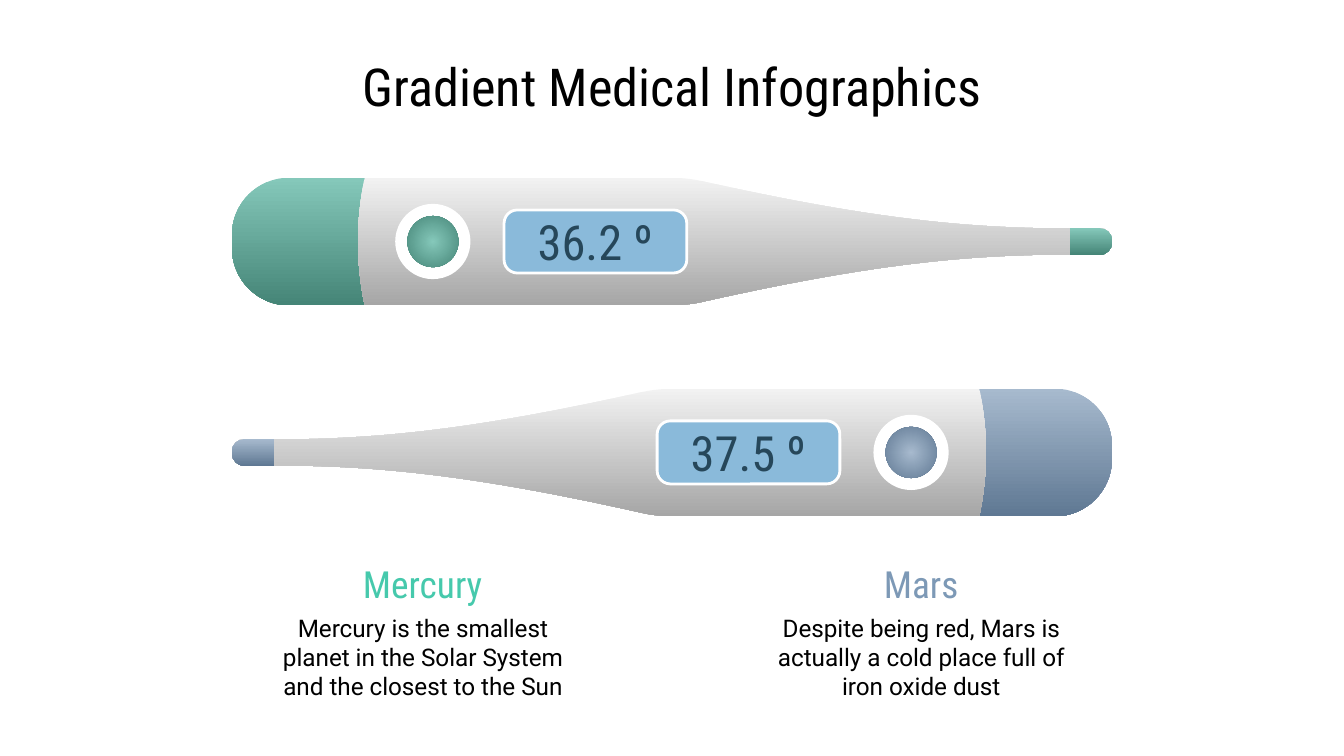
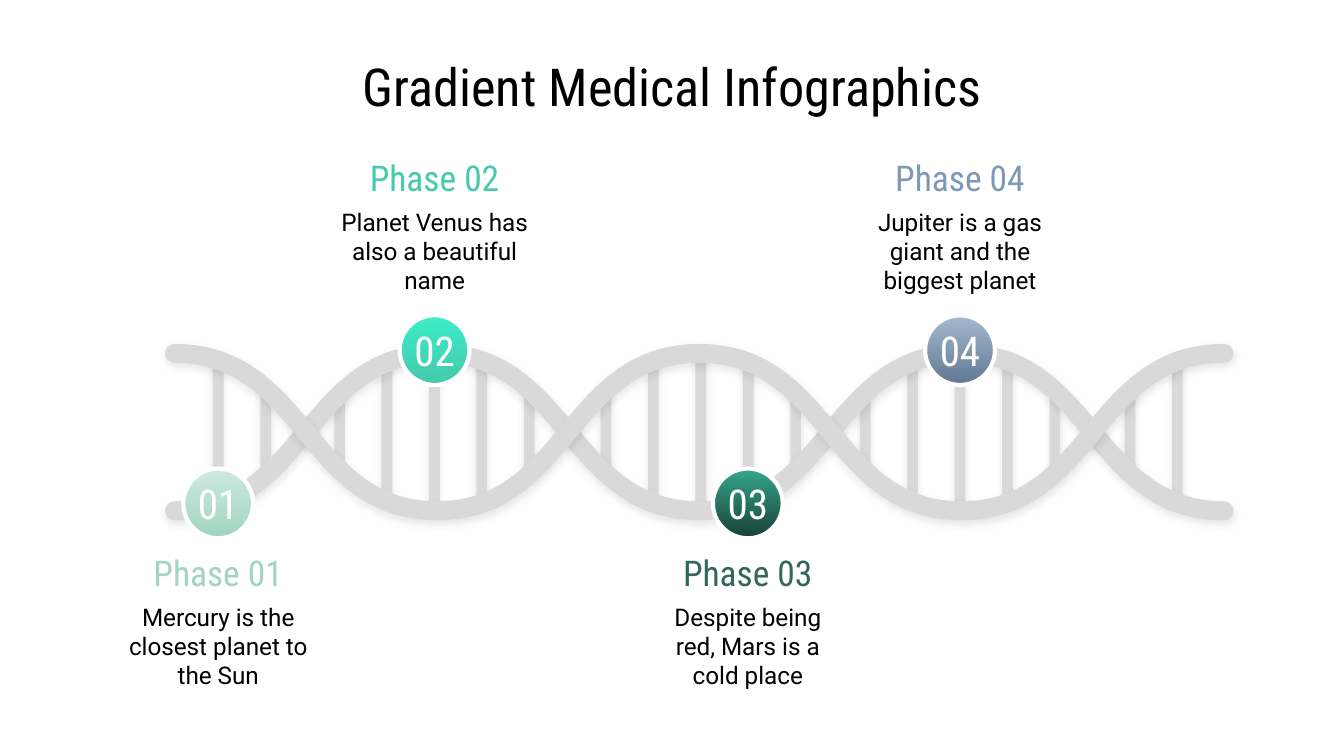
from dataclasses import dataclass

from lxml.etree import SubElement
from pptx import Presentation
from pptx.dml.color import RGBColor
from pptx.enum.shapes import MSO_SHAPE
from pptx.enum.text import MSO_ANCHOR, MSO_AUTO_SIZE, PP_ALIGN
from pptx.oxml.ns import qn
from pptx.util import Pt


@dataclass(frozen=True)
class Theme:
    head: str = "Roboto Condensed"
    body: str = "Roboto"
    ink: str = "000000"
    white: str = "FFFFFF"
    strand: str = "D9D9D9"
    screen: str = "8ABADA"
    digits: str = "26475A"
    mint: str = "A2D4C2"
    green: str = "46C9AC"
    pine: str = "31685B"
    slate: str = "7D99B6"
    steel: tuple = ("F2F2F2", "A6A6A6")
    teal_fade: tuple = ("85C8BA", "458577")
    slate_fade: tuple = ("A7BACE", "5F7893")
    mint_fade: tuple = ("CBEADE", "A2D4C2")
    green_fade: tuple = ("3CEDC8", "46C9AC")
    pine_fade: tuple = ("35A68C", "194037")
    title_size: float = 28
    read_size: float = 26
    badge_size: float = 22
    name_size: float = 20
    phase_size: float = 19
    text_size: float = 13


THEME = Theme()
WIDTH, HEIGHT = 720, 405
TITLE = "Gradient Medical Infographics"
INSET = (7.2, 7.2, 7.2, 7.2)

# Top halves of the thermometer outlines: x from the left, y from the axis.
# Pairs are corners; sixes are two handles and an end point.
CAP = [(192.2, 0), (192.2, -12.2, 193.7, -23.8, 195.8, -34.2), (154.8, -34.2),
       (138.2, -34.2, 124.3, -20.5, 124.3, -3.6), (124.3, 0)]
BODY = [(191.8, 0), (191.8, -12.2, 193.2, -23.8, 195.4, -34.2), (359.3, -34.2),
        (359.3, -34.2, 367.9, -34.2, 375.8, -32.4),
        (460.8, -13.3, 509.8, -8.3, 554.4, -7.2),
        (563, -7.2, 589, -7.2, 589, -7.2),
        (592.6, -7.2, 595.7, -4.3, 595.7, -0.7), (595.7, 0)]
TIP = [(573.1, 0), (573.1, -7.2), (589, -7.2),
       (592.6, -7.2, 595.7, -4.3, 595.7, -0.7), (595.7, 0)]

# Helix: the upper edge of one falling half wave, around the helix axis,
# and the round end of a strand.
HELIX_X, HELIX_Y, WAVE, WAVES = 93.6, 231.5, 140.5, 4
FALL = [(0, -47.2), (37.4, -47.2, 56.2, -24.8, 74.2, -3.2),
        (91.4, 17.6, 108, 37.1, 140.5, 37.1)]
END = [(0, -47.2), (2.9, -47.2, 5.2, -44.9, 5.2, -42.1),
       (5.2, -39.4, 2.9, -37.1, 0, -37.1)]
RUNG, GAP = 5.7, 25.4
REACH = [20.9, 38.2, 42.1, 37.5, 21.6]
CELLS = [(37.9, (3, 4)), (179.1, range(5)), (321.8, range(5)),
         (460.7, range(5)), (602.5, (0, 1))]


def shift(outline, dx=0, dy=0, sx=1, sy=1):
    """Scale an outline by sx and sy, then move it by dx and dy."""
    return [tuple(value * (sy if n % 2 else sx) + (dy if n % 2 else dx)
                  for n, value in enumerate(step)) for step in outline]


def back(outline):
    """Run an outline from its end to its start."""
    result = [outline[-1][-2:]]
    for n in range(len(outline) - 1, 0, -1):
        step, goal = outline[n], outline[n - 1][-2:]
        result.append(step[2:4] + step[:2] + goal if len(step) == 6 else goal)
    return result


def paint(shape, fill, line=None, radial=False):
    """Fill with one colour or a two-colour fade; line is a white width."""
    shape.shadow.inherit = False
    if isinstance(fill, tuple):
        shape.fill.gradient()
        for stop, color in zip(shape.fill.gradient_stops, fill):
            stop.color.rgb = RGBColor.from_string(color)
        shape.fill.gradient_angle = 270
        if radial:
            grad = shape._element.spPr.find(qn("a:gradFill"))
            grad.remove(grad.find(qn("a:lin")))
            focus = SubElement(grad, qn("a:path"), {"path": "circle"})
            SubElement(focus, qn("a:fillToRect"),
                       dict.fromkeys("ltrb", "50000"))
    else:
        shape.fill.solid()
        shape.fill.fore_color.rgb = RGBColor.from_string(fill)
    if line:
        shape.line.color.rgb = RGBColor.from_string(THEME.white)
        shape.line.width = Pt(line)
    else:
        shape.line.fill.background()


def shade(shape):
    """Add the soft shadow below the helix parts."""
    effects = shape._element.spPr.find(qn("a:effectLst"))
    outer = SubElement(effects, qn("a:outerShdw"), {
        "blurRad": str(Pt(4.5)), "dist": str(Pt(1.5)), "dir": "5400000",
        "algn": "bl", "rotWithShape": "0"})
    color = SubElement(outer, qn("a:srgbClr"), {"val": THEME.ink})
    SubElement(color, qn("a:alpha"), {"val": "10000"})


def bend(shape, loops):
    """Join the three lines that stand for each curve into a real curve."""
    route = shape._element.spPr.find(".//" + qn("a:path"))
    lines = iter(list(route.iter(qn("a:lnTo"))))
    for step in (step for loop in loops for step in loop[1:]):
        curve = next(lines)
        if len(step) == 6:
            curve.tag = qn("a:cubicBezTo")
            for spare in (next(lines), next(lines)):
                curve.append(spare[0])
                route.remove(spare)


def draw(slide, loops, fill):
    """Draw closed outlines as one freeform."""
    pen = None
    for loop in loops:
        points = [(Pt(step[n]), Pt(step[n + 1])) for step in loop
                  for n in range(0, len(step), 2)]
        if pen:
            pen.move_to(*points[0])
        else:
            pen = slide.shapes.build_freeform(*points[0])
        pen.add_line_segments(points[1:], close=True)
    shape = pen.convert_to_shape()
    bend(shape, loops)
    paint(shape, fill)
    return shape


def write(shape, text, size, color, font=THEME.head, inset=INSET,
          anchor=MSO_ANCHOR.MIDDLE):
    left, top, right, bottom = map(Pt, inset)
    frame = shape.text_frame
    look = {"word_wrap": True, "auto_size": MSO_AUTO_SIZE.NONE,
            "vertical_anchor": anchor, "margin_left": left,
            "margin_top": top, "margin_right": right, "margin_bottom": bottom}
    for key, value in look.items():
        setattr(frame, key, value)
    frame.text = text
    line = frame.paragraphs[0]
    line.alignment = PP_ALIGN.CENTER
    style = line.runs[0].font
    for key, value in {"name": font, "size": Pt(size), "bold": False}.items():
        setattr(style, key, value)
    style.color.rgb = RGBColor.from_string(color)


def label(slide, box, text, size, color, **look):
    write(slide.shapes.add_textbox(*map(Pt, box)), text, size, color, **look)


def disc(slide, x, y, size, fill, **look):
    """Draw a circle around its centre."""
    shape = slide.shapes.add_shape(
        MSO_SHAPE.OVAL, Pt(x - size / 2), Pt(y - size / 2), Pt(size), Pt(size))
    paint(shape, fill, **look)
    return shape


def start(deck):
    """Add a slide with the shared title."""
    slide = deck.slides.add_slide(deck.slide_layouts[5])
    title = slide.shapes.title
    box = {"left": 148.5, "top": 32.4, "width": 423, "height": 26.6}
    for key, value in box.items():
        setattr(title, key, Pt(value))
    write(title, TITLE, THEME.title_size, THEME.ink)
    return slide


def gauge(slide, axis, fade, value, flip=False):
    """Draw a thermometer along its axis; flip points it to the left."""
    dx, sx = (WIDTH, -1) if flip else (0, 1)
    for half, fill in ((CAP, fade), (BODY, THEME.steel), (TIP, fade)):
        loop = half + back(shift(half, sy=-1))[1:]
        draw(slide, [shift(loop, dx, axis, sx)], fill)

    knob = dx + sx * 231.9
    disc(slide, knob, axis, 40.3, THEME.white)
    disc(slide, knob, axis, 27.4, fade, radial=True)

    wide, high = 97.9, 33.8
    box = (dx + sx * 319 - wide / 2, axis - high / 2, wide, high)
    screen = slide.shapes.add_shape(MSO_SHAPE.ROUNDED_RECTANGLE, *map(Pt, box))
    screen.adjustments[0] = 0.21
    paint(screen, THEME.screen, line=1.5)
    label(slide, box, value, THEME.read_size, THEME.digits,
          inset=(2.9, 1.4, 2.9, 1.4))


def planet(slide, x, name, text, color):
    label(slide, (x - 91, 330.1, 182, 43.2), text, THEME.text_size,
          THEME.ink, font=THEME.body)
    label(slide, (x - 41.8, 303.1, 83.5, 18.7), name, THEME.name_size, color)


def edge(n):
    """Upper edge of half wave n: even ones fall, odd ones rise."""
    return back(shift(FALL, WAVE, sx=-1)) if n % 2 else FALL


def strand(slide, sign):
    """Draw one strand; sign -1 turns it upside down."""
    upper, lower = [FALL[0]], [END[-1]]
    for n in range(WAVES):
        upper += shift(edge(n), n * WAVE)[1:]
        lower += shift(edge(n + 1), n * WAVE, sy=-1)[1:]
    right = shift(END, WAVES * WAVE)
    left = back(shift(END, sx=-1))
    loop = upper + right[1:] + back(lower)[1:] + left[1:]
    shade(draw(slide, [shift(loop, HELIX_X, HELIX_Y, sy=sign)], THEME.strand))


def rungs(slide, left, picks):
    loops = []
    for n in picks:
        x, reach = left + n * GAP, REACH[n]
        top, base = HELIX_Y - reach, HELIX_Y + reach
        loops.append([(x, top), (x + RUNG, top), (x + RUNG, base), (x, base)])
    shade(draw(slide, loops, THEME.strand))


def phase(slide, n, x, text, color, fade):
    """Place a numbered badge: odd ones below the helix, even ones above."""
    badge_y, top = (269.7, 288) if n % 2 else (187.6, 76.5)
    badge = disc(slide, x, badge_y, 37.4, fade, line=2.25)
    write(badge, f"{n:02}", THEME.badge_size, THEME.white,
          inset=(0, 7.2, 0, 7.2))
    label(slide, (x - 58, top + 27.4, 116, 65.5), text, THEME.text_size,
          THEME.ink, font=THEME.body, anchor=MSO_ANCHOR.TOP)
    label(slide, (x - 58, top, 116, 36.7), f"Phase {n:02}",
          THEME.phase_size, color)


def main():
    deck = Presentation()
    deck.slide_width, deck.slide_height = Pt(WIDTH), Pt(HEIGHT)

    slide = start(deck)
    gauge(slide, 129.4, THEME.teal_fade, "36.2 º")
    gauge(slide, 242.4, THEME.slate_fade, "37.5 º", flip=True)
    planet(slide, 226.5, "Mercury", "Mercury is the smallest planet in the "
           "Solar System and the closest to the Sun", THEME.green)
    planet(slide, 493.5, "Mars", "Despite being red, Mars is actually a cold "
           "place full of iron oxide dust", THEME.slate)

    slide = start(deck)
    for left, picks in CELLS:
        rungs(slide, left, picks)
    for sign in (-1, 1):
        strand(slide, sign)
    phases = [
        (116.9, "Mercury is the closest planet to the Sun",
         THEME.mint, THEME.mint_fade),
        (232.8, "Planet Venus has also a beautiful name",
         THEME.green, THEME.green_fade),
        (400.6, "Despite being red, Mars is a cold place",
         THEME.pine, THEME.pine_fade),
        (514.3, "Jupiter is a gas giant and the biggest planet",
         THEME.slate, THEME.slate_fade),
    ]
    for n, item in enumerate(phases, 1):
        phase(slide, n, *item)

    deck.save("out.pptx")


if __name__ == "__main__":
    main()
